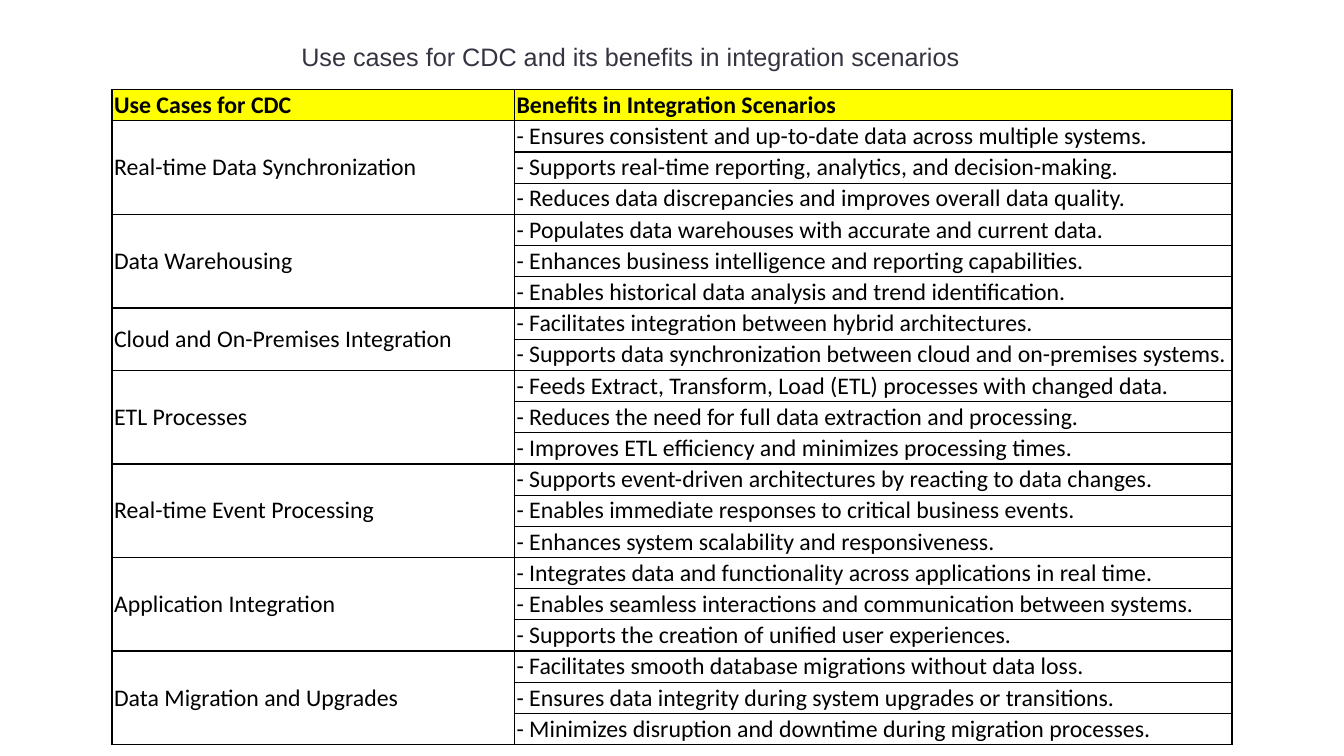
from dataclasses import dataclass

from lxml.etree import SubElement
from pptx import Presentation
from pptx.dml.color import RGBColor
from pptx.enum.text import MSO_ANCHOR, MSO_AUTO_SIZE, PP_ALIGN
from pptx.oxml.ns import qn
from pptx.util import Pt


@dataclass(frozen=True)
class Theme:
    """Colours, fonts and sizes of the slide."""
    title_font: str = "Arial"
    body_font: str = "Calibri"
    title_size: int = 18
    body_size: int = 17
    title_color: str = "343541"
    text_color: str = "000000"
    border_color: str = "000000"
    border_width: int = 1
    header_fill: str = "FFFF00"


THEME = Theme()
TITLE = "Use cases for CDC and its benefits in integration scenarios"
HEADERS = ("Use Cases for CDC", "Benefits in Integration Scenarios")
USE_CASES = {
    "Real-time Data Synchronization": (
        "Ensures consistent and up-to-date data across multiple systems.",
        "Supports real-time reporting, analytics, and decision-making.",
        "Reduces data discrepancies and improves overall data quality.",
    ),
    "Data Warehousing": (
        "Populates data warehouses with accurate and current data.",
        "Enhances business intelligence and reporting capabilities.",
        "Enables historical data analysis and trend identification.",
    ),
    "Cloud and On-Premises Integration": (
        "Facilitates integration between hybrid architectures.",
        "Supports data synchronization between cloud and on-premises systems.",
    ),
    "ETL Processes": (
        "Feeds Extract, Transform, Load (ETL) processes with changed data.",
        "Reduces the need for full data extraction and processing.",
        "Improves ETL efficiency and minimizes processing times.",
    ),
    "Real-time Event Processing": (
        "Supports event-driven architectures by reacting to data changes.",
        "Enables immediate responses to critical business events.",
        "Enhances system scalability and responsiveness.",
    ),
    "Application Integration": (
        "Integrates data and functionality across applications in real time.",
        "Enables seamless interactions and communication between systems.",
        "Supports the creation of unified user experiences.",
    ),
    "Data Migration and Upgrades": (
        "Facilitates smooth database migrations without data loss.",
        "Ensures data integrity during system upgrades or transitions.",
        "Minimizes disruption and downtime during migration processes.",
    ),
}
COLUMN_WIDTHS = (287.5, 512.5)
ROW_HEIGHT = 22.3


def set_font(p, name, size, color, bold=False):
    """Format a whole paragraph."""
    p.font.name = name
    p.font.size = Pt(size)
    p.font.bold = bold
    p.font.color.rgb = RGBColor.from_string(color)


def add_title(s, text, left, top, width, height):
    """Place and format the title placeholder."""
    sp = s.shapes.title
    sp.left, sp.top, sp.width, sp.height = map(Pt, (left, top, width, height))
    tf = sp.text_frame
    tf.text = text
    tf.word_wrap = True
    tf.auto_size = MSO_AUTO_SIZE.SHAPE_TO_FIT_TEXT
    tf.vertical_anchor = MSO_ANCHOR.TOP
    p = tf.paragraphs[0]
    p.alignment = PP_ALIGN.LEFT
    set_font(p, THEME.title_font, THEME.title_size, THEME.title_color)


def add_borders(cell):
    """Draw a solid line on all four sides of a cell."""
    tc_pr = cell._tc.get_or_add_tcPr()
    for side in ("lnL", "lnR", "lnT", "lnB"):
        ln = SubElement(tc_pr, qn(f"a:{side}"), w=str(Pt(THEME.border_width)))
        fill = SubElement(ln, qn("a:solidFill"))
        SubElement(fill, qn("a:srgbClr"), val=THEME.border_color)


def format_cell(cell, header):
    """Set margins, borders, fill and font of a cell."""
    cell.margin_left = cell.margin_right = Pt(1.5)
    cell.margin_top = cell.margin_bottom = Pt(0.7)
    cell.vertical_anchor = MSO_ANCHOR.BOTTOM if header else MSO_ANCHOR.MIDDLE
    add_borders(cell)
    if header:
        cell.fill.solid()
        cell.fill.fore_color.rgb = RGBColor.from_string(THEME.header_fill)
    else:
        cell.fill.background()
    set_font(cell.text_frame.paragraphs[0], THEME.body_font, THEME.body_size,
             THEME.text_color, bold=header)


def add_use_case_table(s, left, top):
    """Add the table, with each use case merged over its benefits."""
    count = 1 + sum(map(len, USE_CASES.values()))
    table = s.shapes.add_table(count, len(HEADERS), Pt(left), Pt(top),
                               Pt(sum(COLUMN_WIDTHS)),
                               Pt(count * ROW_HEIGHT)).table
    table.first_row = table.horz_banding = False
    for column, width in zip(table.columns, COLUMN_WIDTHS):
        column.width = Pt(width)
    for row in table.rows:
        row.height = Pt(ROW_HEIGHT)

    for col, header in enumerate(HEADERS):
        table.cell(0, col).text = header
    first = 1
    for use_case, benefits in USE_CASES.items():
        last = first + len(benefits) - 1
        table.cell(first, 0).merge(table.cell(last, 0))
        table.cell(first, 0).text = use_case
        for row, benefit in enumerate(benefits, first):
            table.cell(row, 1).text = f"- {benefit}"
        first = last + 1

    for i, row in enumerate(table.rows):
        for cell in row.cells:
            format_cell(cell, header=i == 0)


def main():
    """Build and save the slide."""
    prs = Presentation()
    prs.slide_width, prs.slide_height = Pt(960), Pt(540)
    s = prs.slides.add_slide(prs.slide_layouts[5])
    add_title(s, TITLE, 208, 26, 544, 29)
    add_use_case_table(s, 80, 64)
    prs.save("out.pptx")


main()
